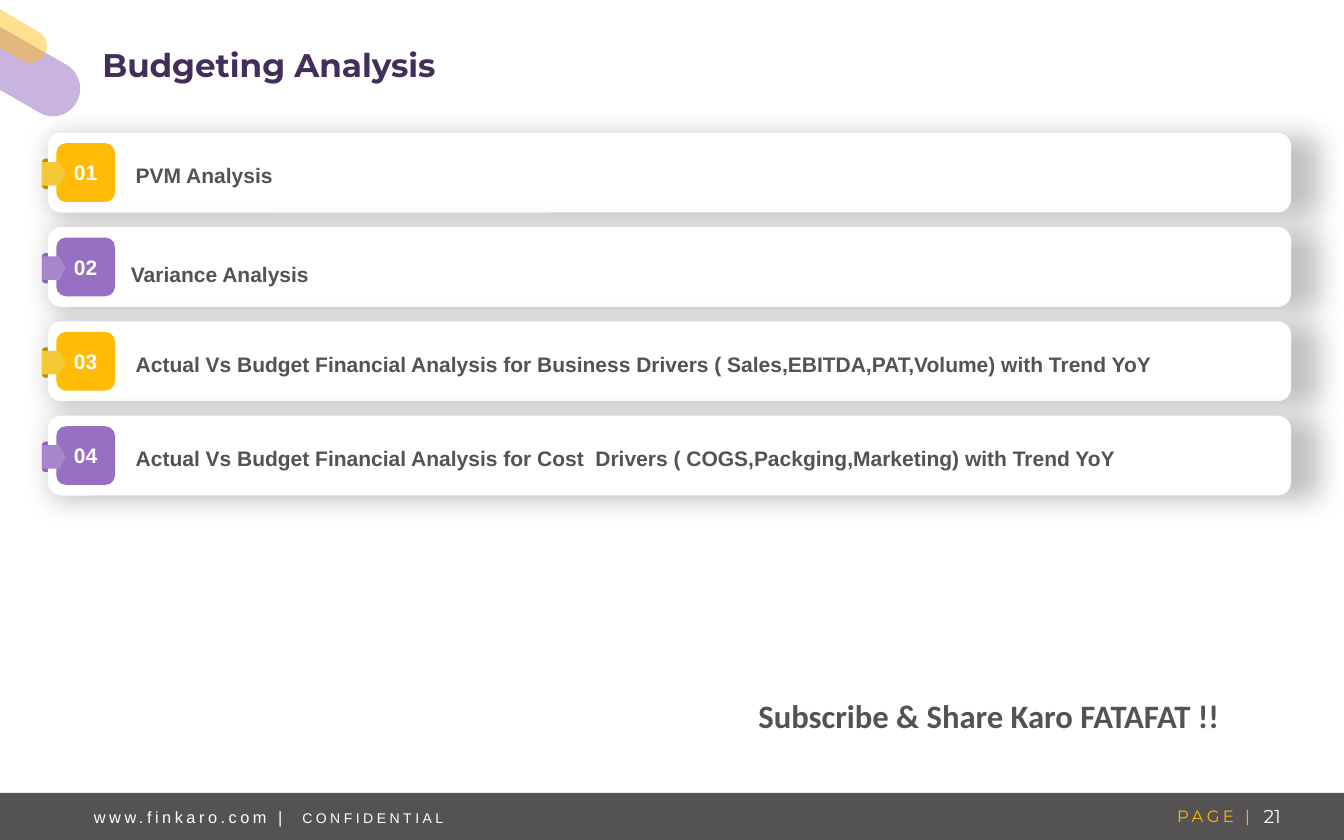
from lxml import etree
from pptx import Presentation
from pptx.dml.color import RGBColor
from pptx.enum import shapes, text
from pptx.oxml.ns import qn
from pptx.util import Inches, Pt

WHITE = RGBColor(0xFF, 0xFF, 0xFF)
GREY = RGBColor(0x54, 0x52, 0x52)
PLUM = RGBColor(0x42, 0x2E, 0x59)
AMBER = RGBColor(0xFF, 0xBB, 0x05)
DARK_AMBER = RGBColor(0xD0, 0x9A, 0x00)
LIGHT_AMBER = RGBColor(0xF3, 0xCA, 0x35)
PURPLE = RGBColor(0x97, 0x6F, 0xC3)
LIGHT_PURPLE = RGBColor(0xA8, 0x86, 0xCD)

KIND = shapes.MSO_SHAPE
ALIGN = text.PP_ALIGN
MIDDLE = text.MSO_ANCHOR.MIDDLE
TOP = text.MSO_ANCHOR.TOP

deck = Presentation()
deck.slide_width = Inches(16)
deck.slide_height = Inches(10)
page = deck.slides.add_slide(deck.slide_layouts[6])


def add_block(kind, left, top, width, height, color, adjust=None):
    block = page.shapes.add_shape(kind, Inches(left), Inches(top), Inches(width), Inches(height))
    block.shadow.inherit = False
    block.fill.solid()
    block.fill.fore_color.rgb = color
    block.line.fill.background()
    if adjust is not None:
        block.adjustments[0] = adjust
    return block


def write(words, box=None, at=None, size=18, font="Arial", color=GREY, bold=False,
          align=ALIGN.LEFT, anchor=MIDDLE, spacing=None, after=None, tracking=None):
    """Add a span to a box, making a text box at the given place if there is none."""
    if box is None:
        box = page.shapes.add_textbox(*[Inches(length) for length in at])
    frame = box.text_frame
    frame.word_wrap = True
    frame.vertical_anchor = anchor
    para = frame.paragraphs[0]
    para.alignment = align
    if spacing:
        para.line_spacing = spacing
    if after:
        para.space_after = Pt(after)
    span = para.add_run()
    span.text = words
    span.font.size = Pt(size)
    span.font.name = font
    span.font.bold = bold
    span.font.color.rgb = color
    if tracking:
        span.font._element.set("spc", str(tracking * 100))
    return box


# Corner pills: start point, then lines (one point) and curves (three points)
pills = [
    (LIGHT_PURPLE, 61, (0, 1.07), [
        [(0.47, 1.34)],
        [(0.62, 1.43), (0.82, 1.38), (0.91, 1.22)],
        [(1, 1.07), (0.95, 0.86), (0.79, 0.77)],
        [(0, 0.32)]]),
    (AMBER, 45, (0, 0.57), [
        [(0.26, 0.72)],
        [(0.36, 0.78), (0.48, 0.74), (0.53, 0.65)],
        [(0.59, 0.55), (0.55, 0.43), (0.46, 0.38)],
        [(0, 0.11)]]),
]
STEPS = 16
for color, opacity, start, segments in pills:
    outline = [start]
    for segment in segments:
        if len(segment) == 1:
            outline += segment
            continue
        corners = [outline[-1], *segment]
        for step in range(1, STEPS + 1):
            t = step / STEPS
            weights = [(1 - t) ** 3, 3 * t * (1 - t) ** 2, 3 * t ** 2 * (1 - t), t ** 3]
            outline.append(tuple(sum(w * c[axis] for w, c in zip(weights, corners))
                                 for axis in (0, 1)))
    points = [(Inches(x), Inches(y)) for x, y in outline]
    builder = page.shapes.build_freeform(*points[0])
    builder.add_line_segments(points[1:], close=True)
    pill = builder.convert_to_shape()
    pill.shadow.inherit = False
    pill.fill.solid()
    pill.fill.fore_color.rgb = color
    pill.line.fill.background()
    tint = pill._element.spPr.find(qn("a:solidFill"))[0]
    etree.SubElement(tint, qn("a:alpha"), val=str(opacity * 1000))

# Footer
add_block(KIND.RECTANGLE, 0, 9.44, 16, 0.56, GREY)
write("PAGE |", at=(12.54, 9.55, 2.44, 0.34), size=14, font="Montserrat", color=AMBER,
      align=ALIGN.RIGHT, anchor=TOP, tracking=3)
write("21", at=(14.79, 9.44, 0.71, 0.56), size=16, font="Montserrat", color=WHITE,
      align=ALIGN.CENTER)
footer = write("www.finkaro.com |  ", at=(1.02, 9.46, 6.81, 0.54), size=14, color=WHITE,
               tracking=3)
write("CONFIDENTIAL", box=footer, size=12, color=WHITE, tracking=3)

# Title
write("Budgeting Analysis", at=(1.12, 0, 12.94, 1.5), size=28, font="Montserrat",
      color=PLUM, bold=True, spacing=1.1)

# Numbered cards
topics = [
    "PVM Analysis",
    "Variance Analysis",
    "Actual Vs Budget Financial Analysis for Business Drivers ( Sales,EBITDA,PAT,Volume) with Trend YoY",
    "Actual Vs Budget Financial Analysis for Cost  Drivers ( COGS,Packging,Marketing) with Trend YoY",
]
palettes = [(DARK_AMBER, AMBER, LIGHT_AMBER), (PURPLE, PURPLE, LIGHT_PURPLE)]
topic_format = dict(bold=True, align=ALIGN.JUSTIFY, spacing=1.2, after=6)
for index, topic in enumerate(topics):
    top = 1.58 + 1.123 * index
    fold, badge_color, tab = palettes[index % 2]
    add_block(KIND.ROUNDED_RECTANGLE, 0.5, top + 0.31, 0.34, 0.36, fold, 0.117)

    card = add_block(KIND.ROUNDED_RECTANGLE, 0.57, top, 14.8, 0.95, WHITE)
    effects = card._element.spPr.find(qn("a:effectLst"))
    shadow = etree.SubElement(effects, qn("a:outerShdw"), blurRad=str(Pt(23)), dist=str(Pt(3)),
                              dir="2700000", sx="102000", sy="102000", algn="tl",
                              rotWithShape="0")
    shade = etree.SubElement(shadow, qn("a:srgbClr"), val="000000")
    etree.SubElement(shade, qn("a:alpha"), val="23000")

    badge = add_block(KIND.ROUNDED_RECTANGLE, 0.67, top + 0.125, 0.7, 0.7, badge_color)
    write(f"{index + 1:02}", box=badge, color=WHITE, bold=True, align=ALIGN.CENTER)
    add_block(KIND.PENTAGON, 0.5, top + 0.35, 0.28, 0.28, tab, 0.261)

    if index == 1:  # this topic sits in its own text box
        write(topic, at=(1.46, 3.01, 8.02, 0.43), anchor=TOP, **topic_format)
    else:
        frame = card.text_frame
        frame.margin_left = Inches(1)
        frame.margin_top = frame.margin_right = frame.margin_bottom = 0
        write(topic, box=card, **topic_format)

# Closing call
write("Subscribe & Share Karo FATAFAT !!", at=(8.93, 8.14, 6.11, 0.63), size=28,
      font="Calibri", bold=True, anchor=TOP, spacing=1.2)

deck.save("out.pptx")
